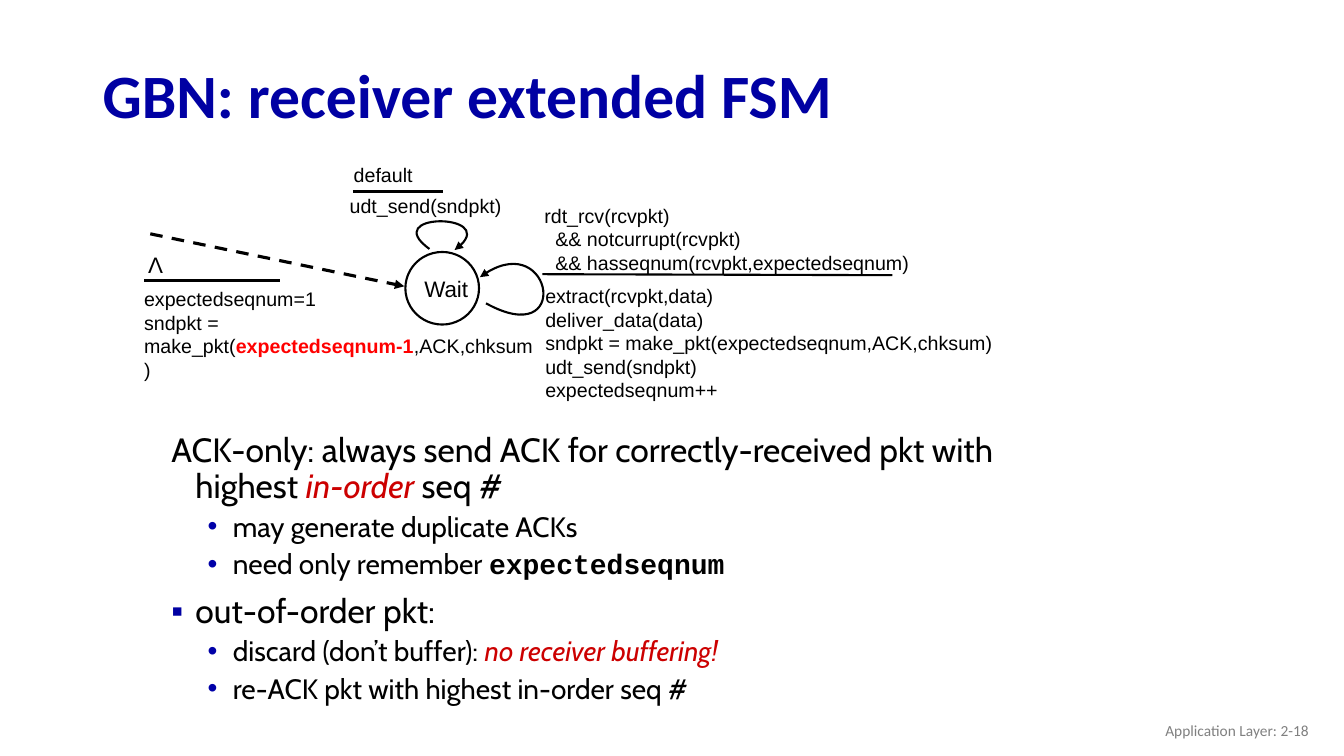
"""Build the slide on the Go-Back-N receiver state machine."""
from lxml import etree
from pptx import Presentation, util as u
from pptx.dml.color import RGBColor
from pptx.enum import dml, shapes, text
from pptx.oxml.ns import qn

WIDTH, HEIGHT = u.Inches(13.33), u.Inches(7.5)


class Theme:
    """Colours, fonts and type sizes."""
    navy, dot, black, white = "0000A3", "0000A8", "000000", "FFFFFF"
    grey, red, crimson = "808080", "FF0000", "CC0000"
    head, body, label, code = "Calibri", "Cabin", "Arial", "Courier New"
    title, point, sub, state, small, foot = 44, 24, 20, 16, 14, 11
    thin, thick = 1.5, 2.25


LABEL = dict(font=Theme.label, size=Theme.small)
STATE = dict(font=Theme.label, size=Theme.state)
ALERT = dict(color=Theme.red, bold=True)
STRESS = dict(color=Theme.crimson, italic=True)
CODE = dict(font=Theme.code, bold=True)

POINT = dict(size=Theme.point, left=0.39, hang=0.24, before=10, lines=0.9)
SQUARE = dict(POINT, bullet=("▪", Theme.navy))
SUB = dict(size=Theme.sub, left=0.76, hang=0.25, before=5, lines=0.9,
           level=1, bullet=("•", Theme.dot))
TAB = dict(left=0.11)

# Boxes and points are percentages of the slide's width and height.
BOXES = [
    ((6.9, 6.53, 86.27, 13.07), ["GBN: receiver extended FSM"],
     dict(font=Theme.head, size=Theme.title, color=Theme.navy, bold=True,
          lines=0.9, middle=True)),
    ((75.62, 94, 22.51, 5.33), ["Application Layer: 2-18"],
     dict(font=Theme.head, size=Theme.foot, color=Theme.grey,
          align=text.PP_ALIGN.RIGHT, middle=True)),
    ((10.88, 56.67, 66.84, 41.6), [
        (["ACK-only: always send ACK for correctly-received pkt with highest ",
          ("in-order ", STRESS), "seq #"], POINT),
        ("may generate duplicate ACKs", SUB),
        (["need only remember ", ("expectedseqnum", CODE)], SUB),
        ("out-of-order pkt:", SQUARE),
        (["discard (don’t buffer): ", ("no receiver buffering!", STRESS)], SUB),
        ("re-ACK pkt with highest in-order seq #", SUB),
    ], dict(font=Theme.body)),
    ((30.83, 35.73, 6.6, 3.47), ["Wait"], STATE),
    ((25.28, 24.93, 13.28, 4.53), ["udt_send(sndpkt)"], LABEL),
    ((25.58, 20.93, 6, 3.6), ["default"], LABEL),
    ((39.76, 26.27, 29.26, 8.27), [
        "rdt_rcv(rcvpkt)",
        ("&& notcurrupt(rcvpkt)", TAB),
        ("&& hasseqnum(rcvpkt,expectedseqnum)", TAB),
    ], LABEL),
    ((39.83, 36.93, 35.41, 12.53), [
        "extract(rcvpkt,data)",
        "deliver_data(data)",
        "sndpkt = make_pkt(expectedseqnum,ACK,chksum)",
        "udt_send(sndpkt)",
        "expectedseqnum++",
    ], LABEL),
    ((9.98, 37.33, 30.53, 14.27), [
        "expectedseqnum=1",
        "sndpkt =",
        (["make_pkt(", ("expectedseqnum-1", ALERT), ",ACK,chksum)"], {}),
    ], LABEL),
    ((10.28, 32.53, 2.63, 4.93), ["Λ"], dict(STATE, wrap=False)),
]
CIRCLE = (30.16, 33.33, 5.48, 9.6)
LINES = [
    ((11.18, 30.93), (30.08, 37.87), dict(width=Theme.thick, dash=True, arrow=True)),
    ((26.26, 25.33), (32.93, 25.33), dict(width=Theme.thick)),
    ((40.36, 36.27), (66.39, 36.4), dict(width=Theme.thin)),
    ((10.73, 37.07), (20.86, 37.07), dict(width=Theme.thick)),
]
LOOPS = [
    [(36.16, 40.13), (42.54, 46.4), (41.04, 29.6), (35.71, 36.67)],
    [(31.96, 32.93), (28.21, 28.13), (37.66, 28.13), (33.83, 33.07)],
]


def place(*shares):
    return [round(share / 100 * (HEIGHT if i % 2 else WIDTH))
            for i, share in enumerate(shares)]


def rgb(code):
    return RGBColor.from_string(code)


def add(parent, tag, **attrs):
    return etree.SubElement(parent, qn(tag), attrs)


def indent(para, left=0, hang=0, bullet=None):
    props = para._p.get_or_add_pPr()
    props.set("marL", str(u.Inches(left)))
    props.set("indent", str(-u.Inches(hang)))
    if bullet:
        mark, color = bullet
        add(add(props, "a:buClr"), "a:srgbClr", val=color)
        add(props, "a:buFont", typeface=Theme.label)
        add(props, "a:buChar", char=mark)
    else:
        add(props, "a:buNone")


def write(para, words, font, size, color=Theme.black, bold=False, italic=False,
          align=None, lines=None, before=0, level=0, **shift):
    indent(para, **shift)
    para.alignment, para.line_spacing, para.level = align, lines, level
    para.space_before = u.Pt(before)
    base = dict(font=font, size=size, color=color, bold=bold, italic=italic)
    for part in [words] if isinstance(words, str) else words:
        word, extra = (part, {}) if isinstance(part, str) else part
        look = base | extra
        run = para.add_run()
        run.text = word
        run.font.name, run.font.size = look["font"], u.Pt(look["size"])
        run.font.bold, run.font.italic = look["bold"], look["italic"]
        run.font.color.rgb = rgb(look["color"])


def fill_box(slide, box, paras, wrap=True, middle=False, **look):
    frame = slide.shapes.add_textbox(*place(*box)).text_frame
    frame.word_wrap = wrap
    frame.vertical_anchor = text.MSO_ANCHOR.MIDDLE if middle else text.MSO_ANCHOR.TOP
    for i, item in enumerate(paras):
        words, extra = (item, {}) if isinstance(item, str) else item
        para = frame.add_paragraph() if i else frame.paragraphs[0]
        write(para, words, **(look | extra | ({} if i else {"before": 0})))


def stroke(shape, width=Theme.thin, dash=False, arrow=False):
    shape.line.color.rgb = rgb(Theme.black)
    shape.line.width = u.Pt(width)
    if dash:
        shape.line.dash_style = dml.MSO_LINE.DASH
    if arrow:
        add(shape.line._get_or_add_ln(), "a:tailEnd", type="triangle")


def draw_line(slide, start, end, **look):
    line = slide.shapes.add_connector(shapes.MSO_CONNECTOR.STRAIGHT,
                                      *place(*start, *end))
    stroke(line, **look)
    add(line._element.spPr, "a:effectLst")


def draw_loop(slide, knots):
    start, *rest = [place(*knot) for knot in knots]
    form = slide.shapes.build_freeform(*start)
    form.add_line_segments(rest, close=False)
    loop = form.convert_to_shape()
    route = next(loop._element.iter(qn("a:path")))
    curve = add(route, "a:cubicBezTo")
    for leg in route.findall(qn("a:lnTo")):
        curve.append(leg[0])
        route.remove(leg)
    loop.fill.background()
    loop.shadow.inherit = False
    stroke(loop, arrow=True)


def main():
    deck = Presentation()
    deck.slide_width, deck.slide_height = WIDTH, HEIGHT
    slide = deck.slides.add_slide(deck.slide_layouts[6])
    state = slide.shapes.add_shape(shapes.MSO_SHAPE.OVAL, *place(*CIRCLE))
    state.fill.solid()
    state.fill.fore_color.rgb = rgb(Theme.white)
    state.shadow.inherit = False
    stroke(state)
    for start, end, look in LINES:
        draw_line(slide, start, end, **look)
    for knots in LOOPS:
        draw_loop(slide, knots)
    for box, paras, look in BOXES:
        fill_box(slide, box, paras, **look)
    deck.save("out.pptx")


if __name__ == "__main__":
    main()
